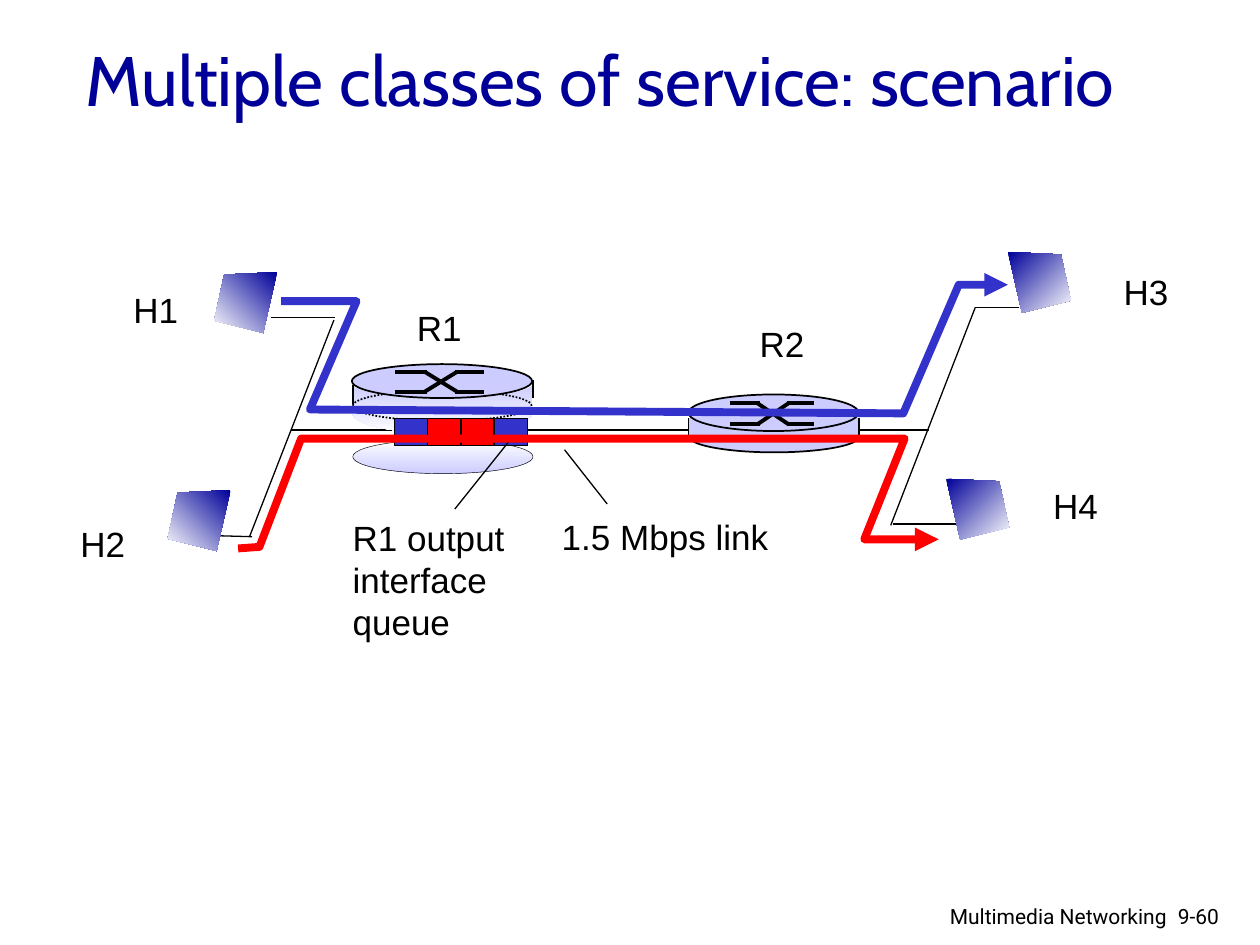
import math
from typing import NamedTuple

from lxml import etree
from pptx import Presentation
from pptx.dml.color import RGBColor
from pptx.enum.dml import MSO_LINE
from pptx.enum.shapes import MSO_CONNECTOR, MSO_SHAPE
from pptx.enum.text import MSO_ANCHOR, PP_ALIGN
from pptx.oxml.ns import qn
from pptx.util import Pt

STRAIGHT = MSO_CONNECTOR.STRAIGHT
ELLIPSE, RECTANGLE = MSO_SHAPE.OVAL, MSO_SHAPE.RECTANGLE
DOTTED = MSO_LINE.ROUND_DOT
LEFT, RIGHT = PP_ALIGN.LEFT, PP_ALIGN.RIGHT
TOP, MIDDLE = MSO_ANCHOR.TOP, MSO_ANCHOR.MIDDLE

BLACK, WHITE, NAVY = "000000", "FFFFFF", "000099"
BLUE, RED, LAVENDER = "3333CC", "FF0000", "CCCCFF"


class Gradient(NamedTuple):
    start: str
    end: str
    angle: float  # counter-clockwise degrees


class Segment(NamedTuple):
    x1: float
    y1: float
    x2: float
    y2: float


class Label(NamedTuple):
    text: str
    x: float
    y: float
    width: float
    height: float = 31.7


class Host(NamedTuple):
    x: float
    y: float
    mirrored: bool


def color(value: str) -> RGBColor:
    return RGBColor.from_string(value)


def paint(shape, fill=None, line=None, weight=1.0, dash=None) -> None:
    """Set fill (hex string, Gradient or None) and outline of a shape."""
    shape.shadow.inherit = False
    if isinstance(fill, Gradient):
        shape.fill.gradient()
        shape.fill.gradient_angle = fill.angle
        for stop, value in zip(shape.fill.gradient_stops, fill[:2]):
            stop.color.rgb = color(value)
    elif fill:
        shape.fill.solid()
        shape.fill.fore_color.rgb = color(fill)
    else:
        shape.fill.background()
    if line:
        shape.line.color.rgb = color(line)
        shape.line.width = Pt(weight)
        if dash:
            shape.line.dash_style = dash
    else:
        shape.line.fill.background()


def add_preset(page, kind, x: float, y: float, width: float, height: float, **style):
    shape = page.shapes.add_shape(kind, Pt(x), Pt(y), Pt(width), Pt(height))
    paint(shape, **style)
    return shape


def add_outline(page, points, close: bool, **style):
    first, *rest = [(Pt(x), Pt(y)) for x, y in points]
    builder = page.shapes.build_freeform(*first)
    builder.add_line_segments(rest, close=close)
    shape = builder.convert_to_shape()
    paint(shape, **style)
    return shape


def add_line(page, segment: Segment, weight: float = 0.75) -> None:
    line = page.shapes.add_connector(STRAIGHT, *[Pt(value) for value in segment])
    line.line.color.rgb = color(BLACK)
    line.line.width = Pt(weight)
    etree.SubElement(line._element.spPr, qn("a:effectLst"))


def add_text(page, text: str, x: float, y: float, width: float, height: float, *,
             font: str = "Arial", size: float = 20, ink: str = BLACK,
             align=LEFT, anchor=TOP, wrap: bool = False) -> None:
    box = page.shapes.add_textbox(Pt(x), Pt(y), Pt(width), Pt(height))
    frame = box.text_frame
    frame.word_wrap = wrap
    frame.vertical_anchor = anchor
    frame.text = text
    for para in frame.paragraphs:
        para.alignment = align
        para.font.name = font
        para.font.size = Pt(size)
        para.font.color.rgb = color(ink)


def add_flow(page, points, ink: str) -> None:
    flow = add_outline(page, points, close=False, line=ink, weight=4.5)
    etree.SubElement(flow.line._get_or_add_ln(), qn("a:tailEnd"), type="triangle")


def add_crossbar(page, x: float, top: float, width: float, bottom: float) -> None:
    """Router symbol: two bars that cross in the middle."""
    for start, end in ((top, bottom), (bottom, top)):
        for left, right, y1, y2 in ((0, 0.36, start, start), (0.33, 0.7, start, end),
                                    (0.68, 1, end, end)):
            add_line(page, Segment(x + left * width, y1, x + right * width, y2), 2.25)


def lower_arc(x: float, y: float, radius_x: float, radius_y: float, steps: int = 24):
    """Points along the lower half of an ellipse, left to right."""
    angles = [math.pi * (1 - step / steps) for step in range(steps + 1)]
    return [(x + radius_x * math.cos(a), y + radius_y * math.sin(a)) for a in angles]


def add_host(page, host: Host) -> None:
    corners = [(0, 0), (30.3, 1.4), (36, 27.8), (8, 34.8)]
    if host.mirrored:
        corners = [(36 - x, y) for x, y in corners]
    fill = Gradient(NAVY, WHITE, 225 if host.mirrored else 315)
    add_outline(page, [(host.x + x, host.y + y) for x, y in corners], True, fill=fill)


def add_router_1(page) -> None:
    body = lower_arc(252.7, 219.6, 51.4, 8) + lower_arc(252.7, 236.2, 51.4, 11.5)[::-1]
    add_outline(page, body, True, fill=Gradient(LAVENDER, WHITE, 270))
    add_preset(page, ELLIPSE, 201.6, 223.2, 102.2, 17.3, line=BLACK, dash=DOTTED)
    add_line(page, Segment(201.6, 220.3, 201.6, 231.1), 1)
    add_line(page, Segment(304.4, 217.4, 304.4, 227.5), 1)
    add_preset(page, ELLIPSE, 201.1, 208.1, 103, 19.4, fill=LAVENDER, line=BLACK)
    add_crossbar(page, 226, 212.4, 50.4, 223.9)
    add_preset(page, ELLIPSE, 201.6, 251.3, 103, 19.4,
               fill=Gradient(WHITE, LAVENDER, 270), line=BLACK, weight=0.25)
    # Packets in the output queue
    for index, fill in enumerate((BLUE, RED, RED, BLUE)):
        add_preset(page, RECTANGLE, 225.4 + 19 * index, 239, 19, 15.8,
                   fill=fill, line=BLACK, weight=0.75)


def add_router_2(page) -> None:
    add_preset(page, ELLIPSE, 393.8, 240.5, 97.2, 18, fill=LAVENDER, line=BLACK)
    for x in (393.8, 491):
        add_line(page, Segment(x, 239, x, 249.8), 1)
    add_preset(page, RECTANGLE, 393.8, 239, 96.5, 10.8, fill=LAVENDER)
    add_preset(page, ELLIPSE, 393.4, 225.4, 97.2, 20.9, fill=LAVENDER, line=BLACK)
    add_crossbar(page, 416.9, 230.4, 48.2, 242.5)


BACKBONE = Segment(166.3, 245.7, 530.6, 245.7)
ACCESS_LINKS = [
    Segment(190.8, 182.9, 142.6, 306.7), Segment(144, 306.7, 119.5, 306),
    Segment(191.5, 181.4, 154.8, 181.4), Segment(557.3, 175.7, 509, 300.2),
    Segment(547.2, 299.5, 510.5, 299.5), Segment(582.5, 175.7, 557.3, 175.7),
]
POINTERS = [Segment(322.6, 257, 347, 288), Segment(291.6, 251.3, 259.9, 290.9)]
LABELS = [
    Label("R1", 231.1, 171.4, 40.3), Label("R2", 427, 180.7, 40.3),
    Label("H1", 69.1, 161.3, 40.3), Label("H2", 38.9, 295.2, 40.3),
    Label("H3", 635, 151.2, 40.3), Label("H4", 594.7, 273.6, 40.3),
    Label("1.5 Mbps link", 313.9, 290.9, 138.2),
    Label("R1 output\ninterface\nqueue", 194.4, 291.6, 102.2, 79.9),
]
BLUE_FLOW = [(160.6, 172.1), (203.8, 172.1), (177.1, 234), (516.2, 236.2),
             (547.9, 162.7), (576, 162.7)]
RED_FLOW = [(136.1, 313.4), (148.3, 312.5), (172.1, 250.6), (517, 250.6),
            (493.9, 308.2), (536.4, 308.2)]
HOSTS = [Host(95.8, 280.1, True), Host(122.4, 155.5, True),
         Host(576, 144, False), Host(540.7, 273.6, False)]


def main() -> None:
    deck = Presentation()
    deck.slide_width, deck.slide_height = Pt(720), Pt(540)
    page = deck.slides.add_slide(deck.slide_layouts[6])

    # Title over the backbone link
    add_line(page, BACKBONE)
    add_text(page, "Multiple classes of service: scenario", 41.8, 0, 612, 90,
             font="Cabin", size=40, ink=NAVY, anchor=MIDDLE, wrap=True)

    # Network
    add_router_1(page)
    for link in ACCESS_LINKS:
        add_line(page, link)
    add_router_2(page)
    for label in LABELS:
        add_text(page, *label)
    for pointer in POINTERS:
        add_line(page, pointer)

    # Traffic flows and end hosts
    add_flow(page, BLUE_FLOW, BLUE)
    add_flow(page, RED_FLOW, RED)
    for host in HOSTS:
        add_host(page, host)

    # Footer
    add_text(page, "9-60", 666, 512.6, 54, 21.6, font="Roboto", size=12, wrap=True)
    add_text(page, "Multimedia Networking", 518.4, 512.6, 155.5, 20.2,
             font="Roboto", size=12, align=RIGHT, wrap=True)
    deck.save("out.pptx")


if __name__ == "__main__":
    main()
